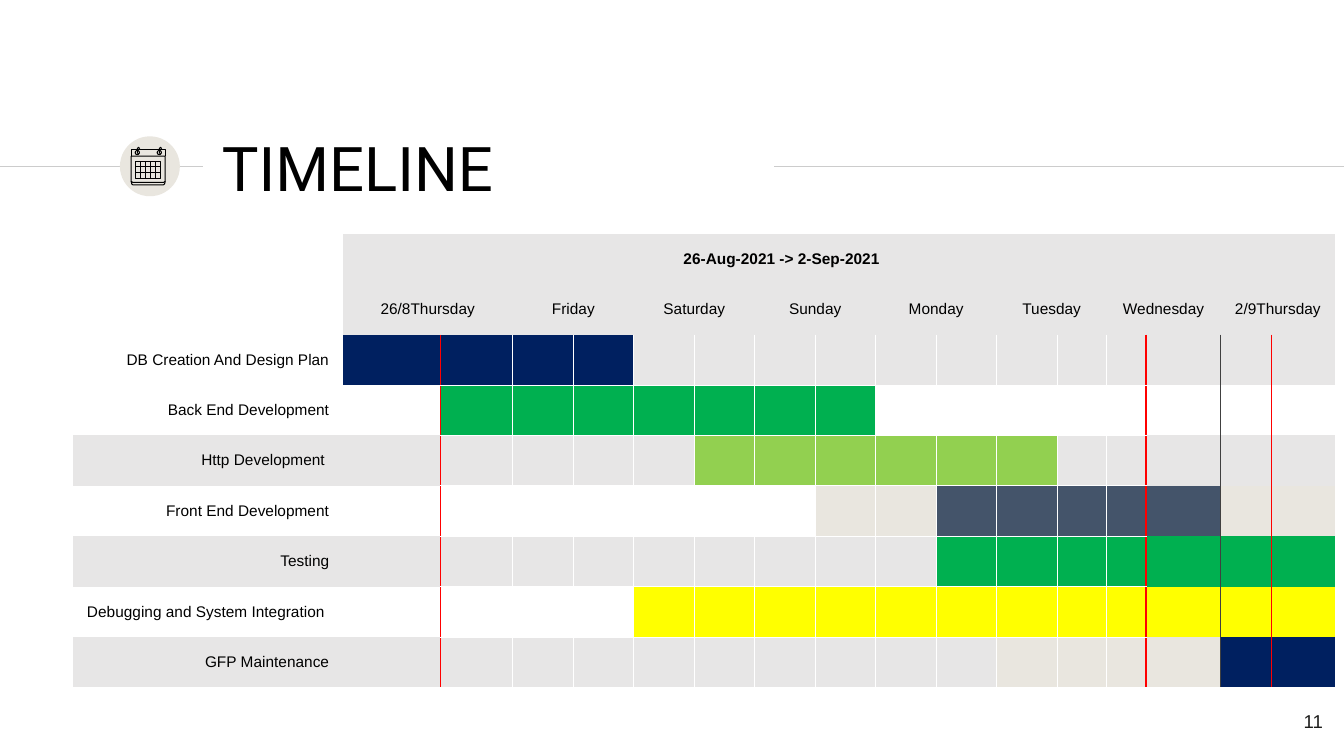
from dataclasses import dataclass

from lxml import etree
from pptx import Presentation
from pptx.dml.color import RGBColor
from pptx.enum.shapes import MSO_CONNECTOR, MSO_SHAPE
from pptx.enum.text import MSO_ANCHOR, PP_ALIGN
from pptx.oxml.ns import qn
from pptx.util import Pt

LEFT, CENTER, RIGHT = PP_ALIGN.LEFT, PP_ALIGN.CENTER, PP_ALIGN.RIGHT
TOP, MIDDLE = MSO_ANCHOR.TOP, MSO_ANCHOR.MIDDLE
STRAIGHT, OVAL = MSO_CONNECTOR.STRAIGHT, MSO_SHAPE.OVAL


@dataclass(frozen=True)
class Theme:
    """Colours, fonts and type sizes of the slide."""
    black: str = "000000"
    ink: str = "1D1D1B"
    rule: str = "CCCCCC"
    white: str = "FFFFFF"
    band: str = "E7E6E6"
    sand: str = "E9E6DF"
    navy: str = "002060"
    green: str = "00B050"
    lime: str = "92D050"
    slate: str = "44546A"
    yellow: str = "FFFF00"
    red: str = "FF0000"
    dark: str = "404040"
    title_font: str = "Roboto"
    body_font: str = "Arial"
    title_size: float = 44
    table_size: float = 11
    number_size: float = 13.3
    thin: float = 0.75
    marker: float = 1
    inset: float = 9.6
    cell_inset: float = 4.8


THEME = Theme()
COLUMN_WIDTHS = [193, 69.8, 51.8] + [43.2] * 9 + [35.3, 28.1, 53.3, 36.7, 15.8, 29.5]
ROW_HEIGHT = 36
DAYS = ["26/8Thursday", "Friday", "Saturday", "Sunday", "Monday", "Tuesday",
        "Wednesday", "2/9Thursday"]
MARKERS = {2: THEME.red, 14: THEME.red, 15: THEME.dark, 16: THEME.red}
GRID_COLUMNS = range(2, 14)
LAST_COLUMN = 16

# Each task: label, label fill, row fill, bars as (first column, last column, colour)
TASKS = [
    ("DB Creation And Design Plan", None, THEME.band, [(1, 4, THEME.navy)]),
    ("Back End Development", None, None, [(2, 8, THEME.green)]),
    ("Http Development ", THEME.band, THEME.band, [(6, 11, THEME.lime)]),
    ("Front End Development", None, None,
     [(8, 9, THEME.sand), (10, 14, THEME.slate), (15, 16, THEME.sand)]),
    ("Testing", THEME.band, THEME.band, [(10, 16, THEME.green)]),
    ("Debugging and System Integration ", None, None, [(5, 16, THEME.yellow)]),
    ("GFP Maintenance", THEME.band, THEME.band,
     [(11, 14, THEME.sand), (15, 16, THEME.navy)]),
]


def color(value):
    """Return a colour object for a hex value."""
    return RGBColor.from_string(value)


def add_run(paragraph, text, size, font, value, bold=False):
    """Add one formatted run to a paragraph."""
    run = paragraph.add_run()
    run.text = text
    run.font.size = Pt(size)
    run.font.name = font
    run.font.bold = bold
    run.font.color.rgb = color(value)


def add_text(slide, box, text, size, font, value, align, anchor):
    """Add a text box with a single run."""
    frame = slide.shapes.add_textbox(*map(Pt, box)).text_frame
    frame.word_wrap = True
    frame.vertical_anchor = anchor
    frame.margin_left = frame.margin_right = Pt(THEME.inset)
    frame.margin_top = frame.margin_bottom = Pt(THEME.inset)
    paragraph = frame.paragraphs[0]
    paragraph.alignment = align
    add_run(paragraph, text, size, font, value)


def add_line(shapes, start, end, value):
    """Add a thin straight line without a shadow."""
    line = shapes.add_connector(STRAIGHT, *map(Pt, (*start, *end)))
    line.line.color.rgb = color(value)
    line.line.width = Pt(THEME.thin)
    etree.SubElement(line._element.spPr, qn("a:effectLst"))


def add_outline(shapes, points, closed=False):
    """Add an unfilled black outline through the points."""
    corners = [(Pt(x), Pt(y)) for x, y in points]
    builder = shapes.build_freeform(*corners[0])
    builder.add_line_segments(corners[1:], close=closed)
    style_outline(builder.convert_to_shape())


def style_outline(shape):
    """Give a shape a thin black line and no fill."""
    shape.shadow.inherit = False
    shape.fill.background()
    shape.line.color.rgb = color(THEME.black)
    shape.line.width = Pt(THEME.thin)


def add_badge(slide, box):
    """Add the round badge behind the calendar."""
    badge = slide.shapes.add_shape(OVAL, *map(Pt, box))
    badge.shadow.inherit = False
    badge.fill.solid()
    badge.fill.fore_color.rgb = color(THEME.sand)
    badge.line.fill.background()


def add_calendar(slide):
    """Draw the grouped calendar icon."""
    shapes = slide.shapes.add_group_shape().shapes
    left, right, top, fold, bottom = 93.7, 118, 106.6, 111.6, 130.3
    add_outline(shapes, [(right, fold), (right, top), (left, top), (left, fold)])
    add_outline(shapes, [(left, fold), (left, 129.6), (left + 1.2, bottom),
                         (right - 1.2, bottom), (right, 129.6), (right, fold)], True)
    add_outline(shapes, [(left, 129.6), (left + 0.4, 131.4), (left + 1.2, 132),
                         (right - 1.2, 132), (right - 0.4, 131.4), (right, 129.6)])
    for ring in (96.6, 112.3):
        style_outline(shapes.add_shape(OVAL, *map(Pt, (ring, 107.5, 3, 3))))
        add_outline(shapes, [(ring + 2.4, 110), (ring + 1.5, 109.2), (ring + 1.5, 106.2),
                             (ring + 2.4, 105.3), (ring + 3.2, 106.2)])
    x, y, width, height = 96.7, 115.2, 18.3, 12.2
    add_outline(shapes, [(x, y), (x + width, y), (x + width, y + height),
                         (x, y + height)], True)
    for row in range(1, 3):
        level = y + height * row / 3
        add_line(shapes, (x, level), (x + width, level), THEME.black)
    for column in range(1, 5):
        position = x + width * column / 5
        add_line(shapes, (position, y), (position, y + height), THEME.black)


def fill_cell(cell, value):
    """Fill a cell, or leave it clear when no colour is given."""
    if value:
        cell.fill.solid()
        cell.fill.fore_color.rgb = color(value)
    else:
        cell.fill.background()


def set_borders(cell, borders):
    """Set the four cell borders; sides not named are cleared."""
    properties = cell._tc.get_or_add_tcPr()
    for index, side in enumerate(("L", "R", "T", "B")):
        line = etree.Element(qn(f"a:ln{side}"))
        if side in borders:
            value, width = borders[side]
            line.set("w", str(int(Pt(width))))
            solid = etree.SubElement(line, qn("a:solidFill"))
            etree.SubElement(solid, qn("a:srgbClr")).set("val", value)
        else:
            etree.SubElement(line, qn("a:noFill"))
        properties.insert(index, line)


def write_cell(cell, text, align, bold=False):
    """Write one run into a table cell."""
    cell.vertical_anchor = MIDDLE
    cell.margin_left = cell.margin_right = Pt(THEME.inset)
    cell.margin_top = cell.margin_bottom = Pt(THEME.cell_inset)
    paragraph = cell.text_frame.paragraphs[0]
    paragraph.alignment = align
    add_run(paragraph, text, THEME.table_size, THEME.body_font, THEME.black, bold)


def task_borders(row, column):
    """Return the borders of a task cell from the grid and marker edges."""
    borders = {}
    for side, edge in (("L", column), ("R", column + 1)):
        if edge in MARKERS:
            borders[side] = (MARKERS[edge], THEME.marker)
        elif column in GRID_COLUMNS:
            borders[side] = (THEME.white, THEME.thin)
    if column in GRID_COLUMNS:
        if row > 0:
            borders["T"] = (THEME.white, THEME.thin)
        if row < len(TASKS) - 1:
            borders["B"] = (THEME.white, THEME.thin)
    return borders


def fill_header(table):
    """Write the period and the days above the schedule."""
    for row in range(2):
        for column in range(len(COLUMN_WIDTHS)):
            fill_cell(table.cell(row, column), THEME.band if column else None)
            set_borders(table.cell(row, column), {})
    table.cell(0, 1).merge(table.cell(0, 14))
    table.cell(0, 15).merge(table.cell(0, 16))
    write_cell(table.cell(0, 1), "26-Aug-2021 -> 2-Sep-2021", CENTER, True)
    for index, day in enumerate(DAYS):
        first = 1 + 2 * index
        last = first + 1 if index < len(DAYS) - 1 else len(COLUMN_WIDTHS) - 1
        table.cell(1, first).merge(table.cell(1, last))
        write_cell(table.cell(1, first), day, CENTER)


def fill_task(table, index, task):
    """Write one task and colour its bars."""
    label, label_fill, row_fill, bars = task
    row = index + 2
    label_cell = table.cell(row, 0)
    write_cell(label_cell, label, RIGHT)
    fill_cell(label_cell, label_fill)
    set_borders(label_cell, {})
    table.cell(row, LAST_COLUMN).merge(table.cell(row, LAST_COLUMN + 1))
    for column in range(1, LAST_COLUMN + 1):
        cell = table.cell(row, column)
        fills = [value for first, last, value in bars if first <= column <= last]
        fill_cell(cell, fills[0] if fills else row_fill)
        set_borders(cell, task_borders(index, column))


def add_schedule(slide):
    """Add the schedule table."""
    rows = len(TASKS) + 2
    box = (51.8, 167, sum(COLUMN_WIDTHS), rows * ROW_HEIGHT)
    table = slide.shapes.add_table(rows, len(COLUMN_WIDTHS), *map(Pt, box)).table
    table.first_row = table.horz_banding = False
    for column, width in zip(table.columns, COLUMN_WIDTHS):
        column.width = Pt(width)
    for row in table.rows:
        row.height = Pt(ROW_HEIGHT)
    fill_header(table)
    for index, task in enumerate(TASKS):
        fill_task(table, index, task)


def main():
    """Build and save the timeline slide."""
    presentation = Presentation()
    presentation.slide_width, presentation.slide_height = Pt(960), Pt(540)
    slide = presentation.slides.add_slide(presentation.slide_layouts[6])
    add_line(slide.shapes, (0, 118.8), (144.7, 118.8), THEME.rule)
    add_badge(slide, (85.7, 97.4, 42.8, 42.8))
    add_line(slide.shapes, (553, 118.8), (960, 118.8), THEME.rule)
    add_text(slide, (149, 96.5, 407.5, 46), "TIMELINE", THEME.title_size,
             THEME.title_font, THEME.black, LEFT, MIDDLE)
    add_text(slide, (897, 499, 57.6, 41), "11", THEME.number_size,
             THEME.body_font, THEME.ink, RIGHT, TOP)
    add_schedule(slide)
    add_calendar(slide)
    presentation.save("out.pptx")


if __name__ == "__main__":
    main()
